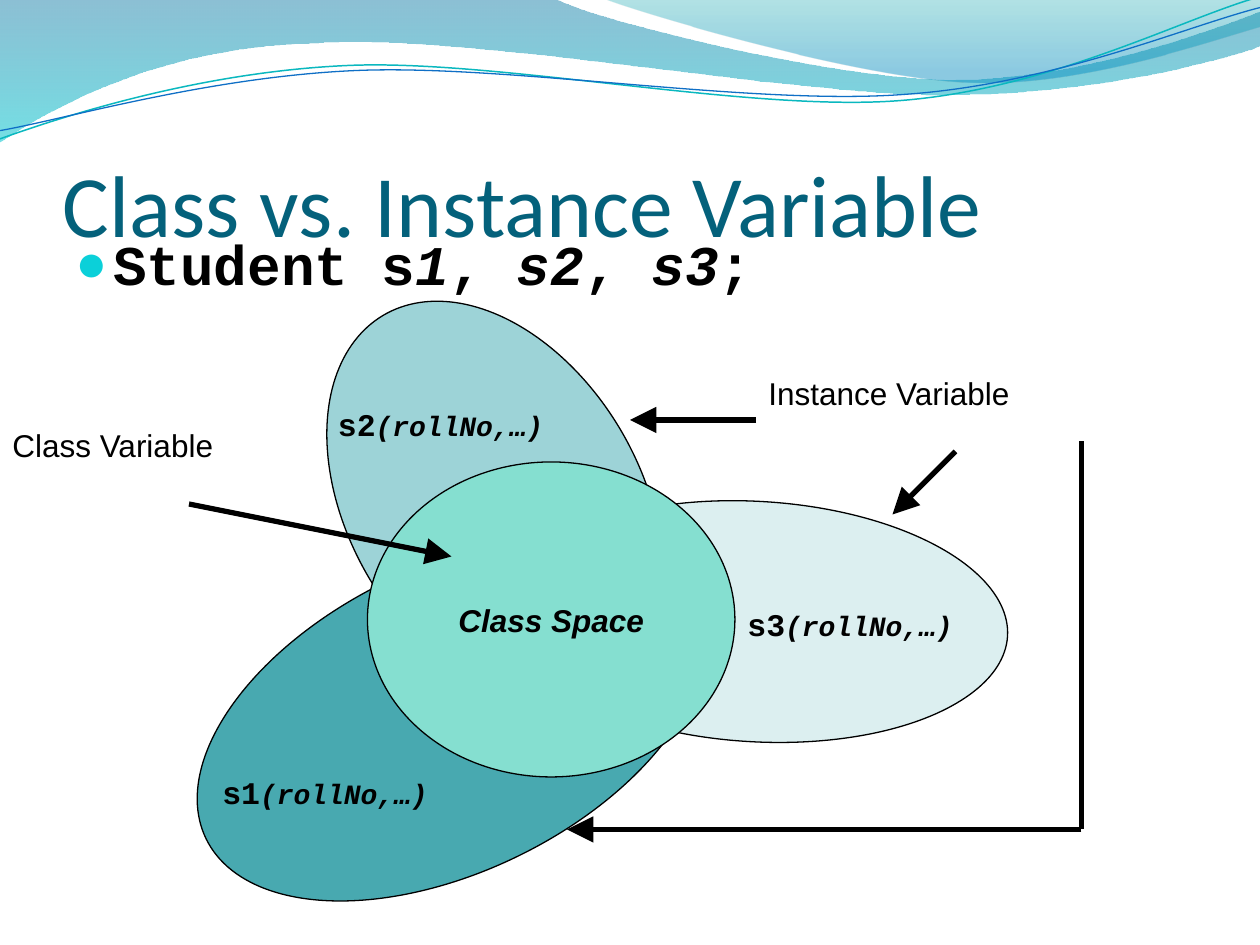
from dataclasses import dataclass

from lxml.etree import SubElement
from pptx import Presentation
from pptx.dml.color import RGBColor
from pptx.enum.shapes import MSO_CONNECTOR, MSO_SHAPE
from pptx.enum.text import MSO_ANCHOR, PP_ALIGN
from pptx.oxml.ns import qn
from pptx.util import Inches, Pt

UNIT = Inches(1) / 12  # the slide is a grid of 120 columns by 90 rows
COLUMNS, ROWS = 120, 90


@dataclass(frozen=True)
class Theme:
    heading_font: str = "Calibri"
    code_font: str = "Courier New"
    label_font: str = "Arial"
    title_size: int = 50
    code_size: int = 32
    label_size: int = 18
    member_size: int = 16
    title: str = "04617B"
    ink: str = "000000"
    bullet: str = "0BD0D9"
    s1: str = "48A9B0"
    s2: str = "9DD3D7"
    s3: str = "DCEFF0"
    class_space: str = "85DFD0"
    teal_line: str = "0AB8BF"
    blue_line: str = "0F6FC6"
    # Gradient stops: position, colour, opacity in percent
    left_wave: tuple = ((0, "0074A1", 45), (1, "00C6CF", 55))
    right_wave: tuple = ((0, "00A1A9", 30), (0.8, "008BBF", 45))


THEME = Theme()

# Wave points are percentages of the slide width on both axes.
# A step of one point is straight; a step of three points is a Bézier curve.
LEFT_WAVE = [
    [(0, 0)], [(44, -0.1)],
    [(47.6, 1.7), (66.4, 6.3), (75.8, 6.3)],
    [(85.3, 6.3), (95.8, 2.6), (100, 0.9)],
    [(100.1, 3.6)],
    [(98.3, 4.4), (87, 7.6), (74.6, 7.5)],
    [(62.2, 7.5), (38.2, 2.8), (25.7, 3.4)],
    [(12.9, 3.6), (4.6, 8.3), (-0.1, 11.3)],
]
RIGHT_WAVE = [
    [(47.9, -0.1)],
    [(50.9, 1.1), (68.2, 6.2), (76.9, 6.5)],
    [(85.6, 6.9), (96.1, 3.2), (100, 2.1)],
    [(100, 0)],
]
TEAL_LINE = [
    [(-0.2, 11.1)],
    [(4.8, 9.3), (15.8, 5.7), (27.7, 5.2)],
    [(39.5, 4.7), (59.3, 8.9), (71.3, 8)],
    [(83.3, 7.1), (93.8, 1.5), (99.8, -0.2)],
]
BLUE_LINE = [
    [(-0.2, 10.4)],
    [(4.7, 9.6), (16.4, 6.1), (28.3, 5.6)],
    [(40.3, 5.1), (59.7, 8.4), (71.7, 7.5)],
    [(83.6, 6.7), (94.1, 2.1), (100, 0.6)],
]


def grid(*values):
    return [round(value * UNIT) for value in values]


def color(code):
    return RGBColor.from_string(code)


def bend_segments(shape, outline):
    """Join the straight segments of each three-point step into one curve."""
    segments = list(shape._element.iter(qn("a:lnTo")))
    for step in outline[1:]:
        group, segments = segments[:len(step)], segments[len(step):]
        if len(step) == 3:
            curve = group[0].makeelement(qn("a:cubicBezTo"))
            group[0].addprevious(curve)
            for segment in group:
                curve.append(segment[0])
                segment.getparent().remove(segment)


def add_curve(slide, outline, close):
    percent = COLUMNS / 100
    points = [grid(x * percent, y * percent) for step in outline for x, y in step]
    builder = slide.shapes.build_freeform(*points[0])
    builder.add_line_segments(points[1:], close=close)
    shape = builder.convert_to_shape()
    bend_segments(shape, outline)
    shape.shadow.inherit = False
    return shape


def add_wave(slide, outline, stops):
    shape = add_curve(slide, outline, close=True)
    shape.line.fill.background()
    shape.fill.gradient()
    shape.fill.gradient_angle = 270
    for stop, (position, code, _) in zip(shape.fill.gradient_stops, stops):
        stop.position = position
        stop.color.rgb = color(code)
    for element, (_, _, opacity) in zip(shape._element.iter(qn("a:srgbClr")), stops):
        SubElement(element, qn("a:alpha"), val=str(opacity * 1000))


def add_wave_line(slide, outline, code, width):
    shape = add_curve(slide, outline, close=False)
    shape.fill.background()
    shape.line.color.rgb = color(code)
    shape.line.width = Pt(width)


def set_font(font, name, size, code, bold=None):
    font.name, font.size, font.bold = name, Pt(size), bold
    font.color.rgb = color(code)


def add_text(slide, box, text, name, size, code=THEME.ink):
    shape = slide.shapes.add_textbox(*grid(*box))
    frame = shape.text_frame
    frame.word_wrap = True
    paragraph = frame.paragraphs[0]
    paragraph.text = text
    set_font(paragraph.font, name, size, code)
    return frame


def add_title(slide, text):
    frame = add_text(slide, (6, 9.25, 108, 15), text,
                     THEME.heading_font, THEME.title_size, THEME.title)
    frame.vertical_anchor = MSO_ANCHOR.BOTTOM
    frame.margin_left = frame.margin_right = frame.margin_bottom = 0


def add_bullet(paragraph):
    properties = paragraph._p.get_or_add_pPr()
    indent = Inches(0.3)
    properties.set("marL", str(indent))
    properties.set("indent", str(-indent))
    SubElement(SubElement(properties, qn("a:buClr")), qn("a:srgbClr"), val=THEME.bullet)
    SubElement(properties, qn("a:buSzPct"), val="95000")
    SubElement(properties, qn("a:buFont"), typeface=THEME.label_font)
    SubElement(properties, qn("a:buChar"), char="●")


def add_declaration(slide, parts):
    """Add the bulleted code line; every second part is italic."""
    shape = slide.shapes.add_textbox(*grid(6, 22.5, 108, 59.4))
    shape.text_frame.word_wrap = True
    paragraph = shape.text_frame.paragraphs[0]
    add_bullet(paragraph)
    paragraph.line_spacing = 0.8
    set_font(paragraph.font, THEME.code_font, THEME.code_size, THEME.ink, bold=True)
    for index, part in enumerate(parts):
        run = paragraph.add_run()
        run.text = part
        run.font.italic = index % 2 == 1


def add_ellipse(slide, box, fill, rotation=0):
    shape = slide.shapes.add_shape(MSO_SHAPE.OVAL, *grid(*box))
    shape.rotation = rotation
    shape.shadow.inherit = False
    shape.fill.solid()
    shape.fill.fore_color.rgb = color(fill)
    shape.line.color.rgb = color(THEME.ink)
    shape.line.width = Pt(0.75)
    return shape


def add_class_space(slide):
    frame = add_ellipse(slide, (35, 44, 35, 30), THEME.class_space).text_frame
    frame.word_wrap = False
    frame.vertical_anchor = MSO_ANCHOR.MIDDLE
    paragraph = frame.paragraphs[0]
    paragraph.text = "Class Space"
    paragraph.alignment = PP_ALIGN.CENTER
    set_font(paragraph.font, THEME.label_font, THEME.label_size, THEME.ink, bold=True)
    paragraph.font.italic = True


def add_object_label(slide, left, top, width, name):
    frame = add_text(slide, (left, top, width, 4.8), name, THEME.code_font, THEME.label_size)
    paragraph = frame.paragraphs[0]
    paragraph.font.bold = True
    members = paragraph.add_run()
    members.text = "(rollNo,…)"
    members.font.size = Pt(THEME.member_size)
    members.font.italic = True


def add_line(slide, start, end, arrow=True):
    line = slide.shapes.add_connector(MSO_CONNECTOR.STRAIGHT, *grid(*start, *end))
    line.line.color.rgb = color(THEME.ink)
    line.line.width = Pt(3)
    if arrow:
        SubElement(line.line._get_or_add_ln(), qn("a:tailEnd"),
                   type="triangle", w="lg", len="lg")
    SubElement(line._element.spPr, qn("a:effectLst"))


def main():
    presentation = Presentation()
    presentation.slide_width, presentation.slide_height = grid(COLUMNS, ROWS)
    slide = presentation.slides.add_slide(presentation.slide_layouts[6])

    add_wave(slide, LEFT_WAVE, THEME.left_wave)
    add_wave(slide, RIGHT_WAVE, THEME.right_wave)
    add_wave_line(slide, TEAL_LINE, THEME.teal_line, 0.85)
    add_wave_line(slide, BLUE_LINE, THEME.blue_line, 0.75)

    add_title(slide, "Class vs. Instance Variable")
    add_declaration(slide, ["Student s", "1", ", ", "s2", ", ", "s3", ";"])

    add_ellipse(slide, (48, 47.75, 48, 22.9), THEME.s3, 3.3)
    add_ellipse(slide, (17, 54, 52, 29), THEME.s1, 334)
    add_ellipse(slide, (26.25, 34.1, 41.75, 27.8), THEME.s2, 59.4)
    add_class_space(slide)
    add_object_label(slide, 20, 73, 31, "s1")
    add_object_label(slide, 31, 38, 37, "s2")
    add_object_label(slide, 70, 57, 37, "s3")

    add_line(slide, (103, 42), (103, 79), arrow=False)
    add_line(slide, (103, 79), (54, 79))
    add_text(slide, (72, 35, 43.5, 7.5), "Instance Variable", THEME.label_font, THEME.label_size)
    add_line(slide, (91, 43), (85, 49))
    add_line(slide, (72, 40), (60, 40))
    add_text(slide, (0, 40, 28, 14), "Class Variable", THEME.label_font, THEME.label_size)
    add_line(slide, (18, 48), (43, 53))

    presentation.save("out.pptx")


if __name__ == "__main__":
    main()
